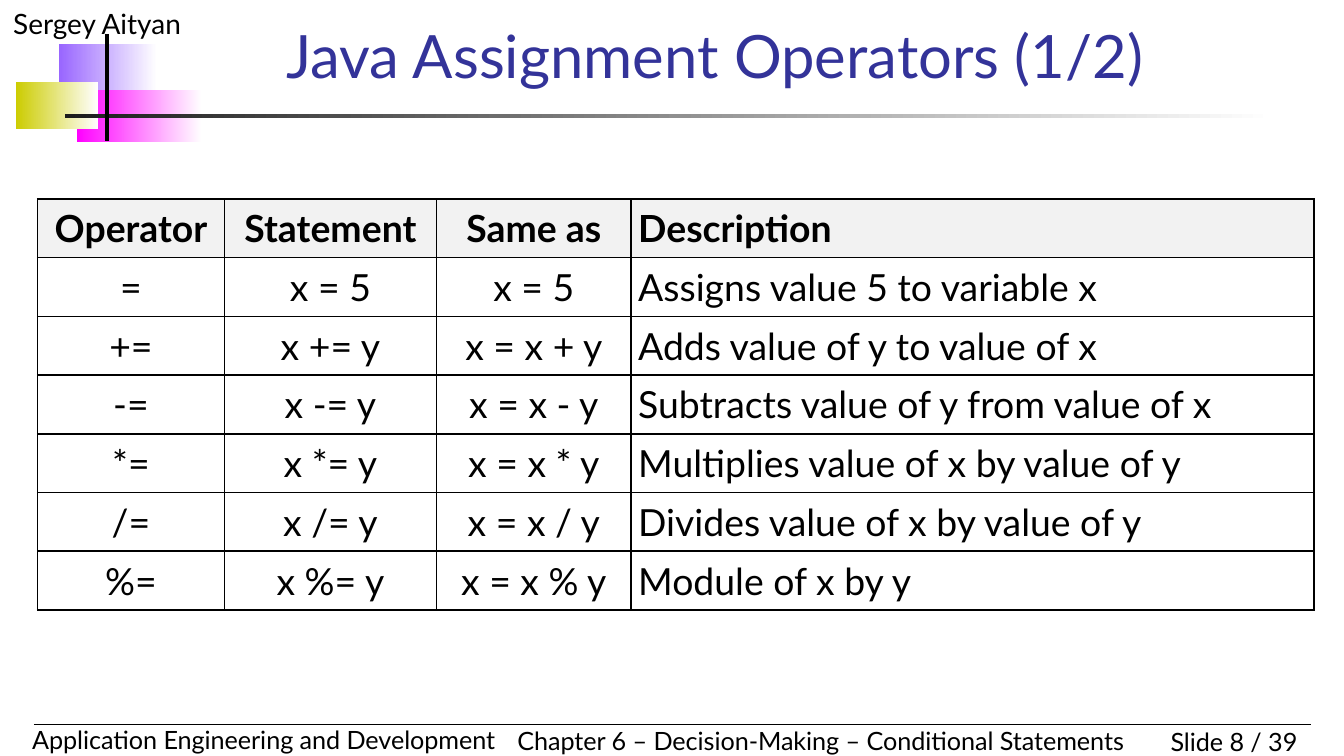
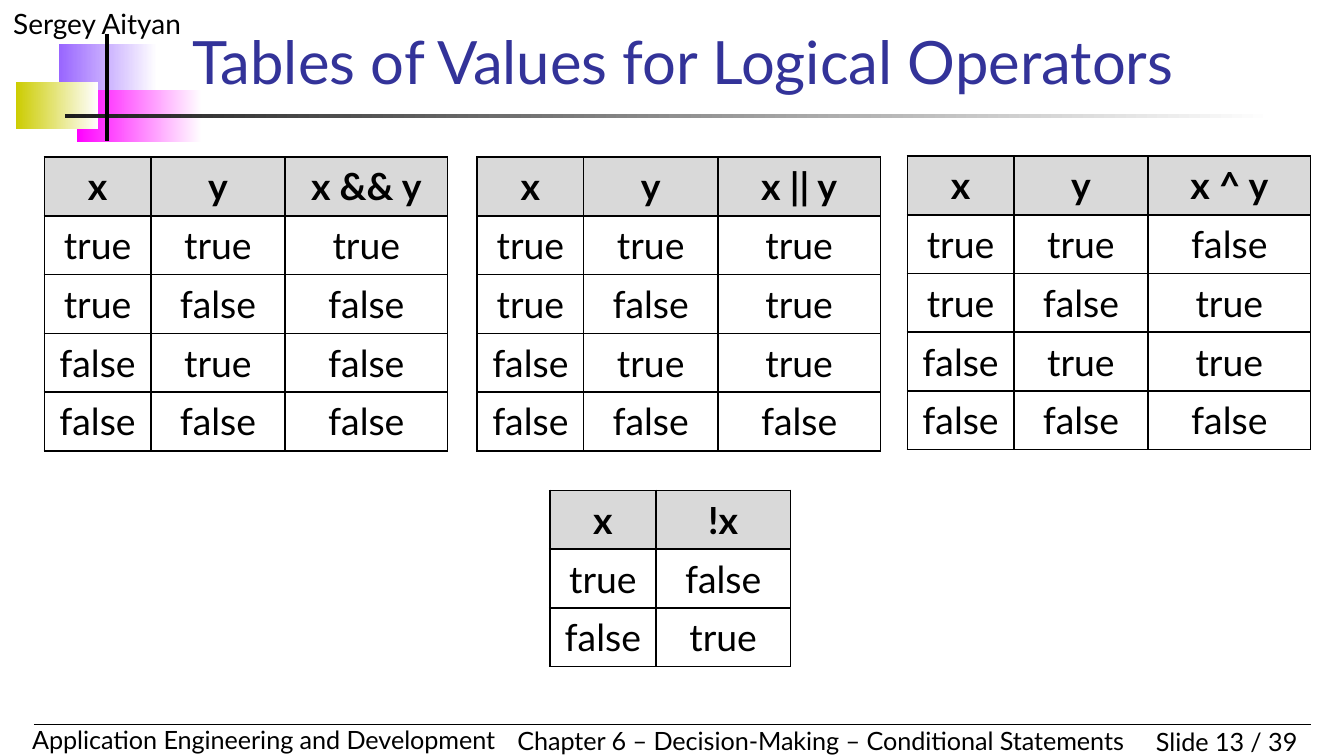
import itertools

import lxml.etree
import pptx
import pptx.dml.color
import pptx.enum.shapes
import pptx.enum.text
import pptx.oxml
import pptx.oxml.ns
import pptx.util

Cm, Pt = pptx.util.Cm, pptx.util.Pt
LEFT, CENTER, RIGHT = (getattr(pptx.enum.text.PP_ALIGN, name) for name in ("LEFT", "CENTER", "RIGHT"))
FONT = "Lato"
BLACK, TITLE_BLUE = "000000", "333399"
LIGHT_GREY, MID_GREY = "F2F2F2", "D9D9D9"
ROW_HEIGHT = 1.11
CELL_INSET = 0.13


def rgb(value):
    return pptx.dml.color.RGBColor.from_string(value)


def add_grid(page, left, top, widths, rows, header_fill, alignments):
    """Add a bordered table whose first row is a bold, shaded header."""
    frame = page.shapes.add_table(
        len(rows), len(widths), Cm(left), Cm(top), Cm(sum(widths)), Cm(ROW_HEIGHT * len(rows))
    )
    table = frame.table
    table.first_row = table.horz_banding = False
    for column, width in zip(table.columns, widths):
        column.width = Cm(width)
    for row_index, row in enumerate(rows):
        table.rows[row_index].height = Cm(ROW_HEIGHT)
        for column_index, text in enumerate(row):
            cell = table.cell(row_index, column_index)
            cell.text = text
            cell.vertical_anchor = pptx.enum.text.MSO_ANCHOR.MIDDLE
            for side in ("left", "right", "top", "bottom"):
                setattr(cell, f"margin_{side}", Cm(CELL_INSET))
            properties = cell._tc.get_or_add_tcPr()
            for edge in ("lnL", "lnR", "lnT", "lnB"):
                properties.append(pptx.oxml.parse_xml(
                    f'<a:{edge} {pptx.oxml.ns.nsdecls("a")} w="12700"><a:solidFill>'
                    f'<a:srgbClr val="{BLACK}"/></a:solidFill></a:{edge}>'
                ))
            if row_index == 0:
                cell.fill.solid()
                cell.fill.fore_color.rgb = rgb(header_fill)
            else:
                cell.fill.background()
            para = cell.text_frame.paragraphs[0]
            para.alignment = alignments[column_index]
            cell_format = {"name": FONT, "size": Pt(20), "bold": row_index == 0}
            for key, value in cell_format.items():
                setattr(para.font, key, value)
            para.font.color.rgb = rgb(BLACK)


deck = pptx.Presentation()
deck.slide_width, deck.slide_height = Cm(25.4), Cm(14.29)

# Title, slide number, title left, top and width
slides = [
    ("Java Assignment Operators (1/2)", 8, 5.16, 0.46, 19.69),
    ("Tables of Values for Logical Operators", 13, 3.38, 0.58, 21.39),
]
# Left, top, width, height and start colour, fading to white
bands = [
    (1.12, 0.84, 1.85, 0.99, "9966FF"),
    (1.45, 1.7, 2.36, 0.99, "FF00FF"),
    (0.3, 1.55, 1.55, 0.89, "CCCC00"),
    (1.22, 2.16, 22.86, 0.08, "1C1C1C"),
]
# Start, end and width in points
rules = [
    (0.64, 13.69, 24.77, 13.69, 0.75),
    (2.03, 0.64, 2.03, 2.67, 2),
]
# Text, left, top, width, height, size, alignment and wrapping
labels = [
    ("Sergey Aityan", 0, 0, 6.35, 0.89, 15, LEFT, True),
    ("Slide {number} / 39", 20.96, 13.61, 3.81, 0.84, 13.5, RIGHT, True),
    ("Application Engineering and Development", 0.36, 13.56, 9.4, 0.84, 13.5, LEFT, True),
    ("Chapter 6 – Decision-Making – Conditional Statements", 9.53, 13.59, 12.09, 0.84, 13.5, LEFT, False),
]

pages = []
for title_text, number, title_left, title_top, title_width in slides:
    page = deck.slides.add_slide(deck.slide_layouts[5])
    pages.append(page)

    for left, top, width, height, start_color in bands:
        band = page.shapes.add_shape(
            pptx.enum.shapes.MSO_SHAPE.RECTANGLE, Cm(left), Cm(top), Cm(width), Cm(height)
        )
        band.shadow.inherit = False
        band.line.fill.background()
        band.fill.gradient()
        band.fill.gradient_angle = 0
        for stop, color in zip(band.fill.gradient_stops, (start_color, "FFFFFF")):
            stop.color.rgb = rgb(color)

    for text, left, top, width, height, size, alignment, wrap in labels:
        box = page.shapes.add_textbox(Cm(left), Cm(top), Cm(width), Cm(height))
        box.text_frame.word_wrap = wrap
        box.text_frame.auto_size = pptx.enum.text.MSO_AUTO_SIZE.SHAPE_TO_FIT_TEXT
        para = box.text_frame.paragraphs[0]
        para.text = text.format(number=number)
        para.alignment = alignment
        for key, value in {"name": FONT, "size": Pt(size)}.items():
            setattr(para.font, key, value)
        para.font.color.rgb = rgb(BLACK)

    for start_x, start_y, end_x, end_y, width in rules:
        rule = page.shapes.add_connector(
            pptx.enum.shapes.MSO_CONNECTOR.STRAIGHT, Cm(start_x), Cm(start_y), Cm(end_x), Cm(end_y)
        )
        rule.line.color.rgb = rgb(BLACK)
        rule.line.width = Pt(width)
        lxml.etree.SubElement(rule._element.spPr, pptx.oxml.ns.qn("a:effectLst"))

    title = page.shapes.title
    title_place = {"left": title_left, "top": title_top, "width": title_width, "height": 1.37}
    for key, value in title_place.items():
        setattr(title, key, Cm(value))
    title.text_frame.text = title_text
    title.text_frame.word_wrap = True
    title.text_frame.auto_size = pptx.enum.text.MSO_AUTO_SIZE.NONE
    title.text_frame.vertical_anchor = pptx.enum.text.MSO_ANCHOR.BOTTOM
    para = title.text_frame.paragraphs[0]
    para.alignment = LEFT
    for key, value in {"name": FONT, "size": Pt(32)}.items():
        setattr(para.font, key, value)
    para.font.color.rgb = rgb(TITLE_BLUE)

operator_page, logic_page = pages

operator_rows = [
    ("Operator", "Statement", "Same as", "Description"),
    ("=", "x = 5", "x = 5", "Assigns value 5 to variable x"),
]
arithmetic = [
    ("+", "Adds value of y to value of x"),
    ("-", "Subtracts value of y from value of x"),
    ("*", "Multiplies value of x by value of y"),
    ("/", "Divides value of x by value of y"),
    ("%", "Module of x by y"),
]
for sign, description in arithmetic:
    operator_rows.append((f"{sign}=", f"x {sign}= y", f"x = x {sign} y", description))
add_grid(
    operator_page, 0.71, 3.76, (3.53, 4.01, 3.68, 12.9), operator_rows, LIGHT_GREY,
    (CENTER, CENTER, CENTER, LEFT),
)

truth_widths = (2.01, 2.54, 3.07)
input_pairs = list(itertools.product(("true", "false"), repeat=2))
truth_tables = [
    ("x && y", 0.84, 2.97, ("true", "false", "false", "false")),
    ("x || y", 9.02, 2.97, ("true", "true", "true", "false")),
    ("x ^ y", 17.15, 2.95, ("false", "true", "true", "false")),
]
for expression, left, top, results in truth_tables:
    truth_rows = [("x", "y", expression)]
    truth_rows += [(*pair, result) for pair, result in zip(input_pairs, results)]
    add_grid(logic_page, left, top, truth_widths, truth_rows, MID_GREY, [CENTER] * 3)

negation_rows = [("x", "!x"), ("true", "false"), ("false", "true")]
add_grid(logic_page, 10.39, 9.27, truth_widths[:2], negation_rows, MID_GREY, [CENTER] * 2)

deck.save("out.pptx")
